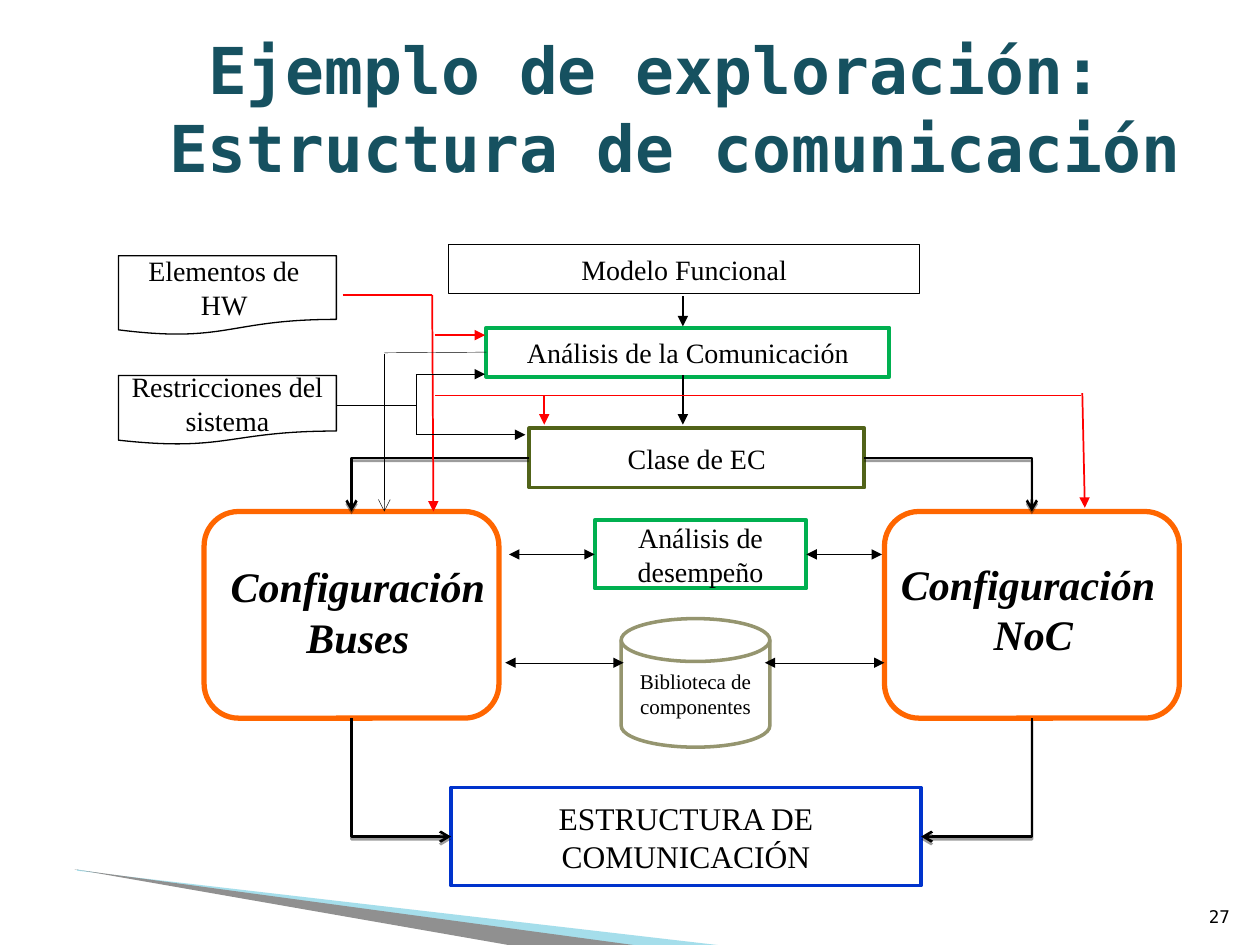
from dataclasses import dataclass

from lxml import etree
from pptx import Presentation
from pptx.dml.color import RGBColor
from pptx.enum.shapes import MSO_CONNECTOR, MSO_SHAPE
from pptx.enum.text import MSO_ANCHOR, PP_ALIGN
from pptx.oxml.ns import qn
from pptx.util import Inches, Pt

RECTANGLE = MSO_SHAPE.RECTANGLE
ROUNDED = MSO_SHAPE.ROUNDED_RECTANGLE
DOCUMENT = MSO_SHAPE.FLOWCHART_DOCUMENT
DISK = MSO_SHAPE.FLOWCHART_MAGNETIC_DISK
STRAIGHT, ELBOW = MSO_CONNECTOR.STRAIGHT, MSO_CONNECTOR.ELBOW
CENTER, RIGHT = PP_ALIGN.CENTER, PP_ALIGN.RIGHT
MIDDLE, TOP, BOTTOM = MSO_ANCHOR.MIDDLE, MSO_ANCHOR.TOP, MSO_ANCHOR.BOTTOM
SIDE_TOP, SIDE_LEFT, SIDE_BOTTOM, SIDE_RIGHT = range(4)


@dataclass(frozen=True)
class Theme:
    mono: str = "DejaVu Sans Mono"
    serif: str = "Times New Roman"
    black: str = "000000"
    title: str = "165160"
    red: str = "FF0000"
    green: str = "00B050"
    olive: str = "516319"
    orange: str = "FF6600"
    blue: str = "0033CC"
    khaki: str = "95956F"
    aqua: str = "1FAECD"
    gray: str = "909090"
    title_size: float = 36.9
    heading_size: float = 24
    result_size: float = 18
    label_size: float = 16
    small_size: float = 12
    number_size: float = 10
    hairline: float = 0.25
    thin: float = 0.75
    signal: float = 1
    flow: float = 1.5


THEME = Theme()


def rgb(value):
    return RGBColor.from_string(value)


def write(shape, text, size, font=THEME.serif, color=THEME.black, bold=False,
          italic=False, align=CENTER, anchor=MIDDLE, wrap=True):
    frame = shape.text_frame
    frame.text = text
    frame.word_wrap = wrap
    frame.vertical_anchor = anchor
    for para in frame.paragraphs:
        para.alignment = align
        for span in para.runs:
            span.font.name = font
            span.font.size = Pt(size)
            span.font.bold = bold
            span.font.italic = italic
            span.font.color.rgb = rgb(color)


def add_box(page, kind, place, color, width, text="", size=THEME.label_size, wrap=True):
    box = page.shapes.add_shape(kind, *map(Inches, place))
    box.shadow.inherit = False
    box.fill.background()
    box.line.color.rgb = rgb(color)
    box.line.width = Pt(width)
    if text:
        write(box, text, size, wrap=wrap)
    return box


def add_label(page, place, text, size, **style):
    label = page.shapes.add_textbox(*map(Inches, place))
    write(label, text, size, **style)


def add_wedge(page, points, color, opacity=None):
    start, *rest = [(Inches(x), Inches(y)) for x, y in points]
    builder = page.shapes.build_freeform(*start)
    builder.add_line_segments(rest, close=True)
    wedge = builder.convert_to_shape()
    wedge.shadow.inherit = False
    wedge.line.fill.background()
    wedge.fill.solid()
    wedge.fill.fore_color.rgb = rgb(color)
    if opacity:
        tint = wedge.fill._xPr.find(".//" + qn("a:srgbClr"))
        etree.SubElement(tint, qn("a:alpha"), val=str(opacity * 1000))


def style_line(link, color, width, head=None, tail=None):
    """Colour a connector, set its arrowheads and return its empty effect list."""
    link.line.color.rgb = rgb(color)
    link.line.width = Pt(width)
    outline = link.line._get_or_add_ln()
    for tag, kind in (("a:headEnd", head), ("a:tailEnd", tail)):
        if kind:
            etree.SubElement(outline, qn(tag), type=kind)
    return etree.SubElement(link._element.spPr, qn("a:effectLst"))


def add_line(page, start, end, color=THEME.black, width=THEME.hairline, head=None, tail=None):
    link = page.shapes.add_connector(STRAIGHT, *map(Inches, (*start, *end)))
    style_line(link, color, width, head, tail)
    return link


def add_elbow(page, source, source_side, target, target_side):
    """Join two boxes with a single-corner arrow that casts a soft shadow."""
    link = page.shapes.add_connector(ELBOW, 0, 0, 0, 0)
    link.begin_connect(source, source_side)
    link.end_connect(target, target_side)
    properties = link._element.spPr
    properties.find(qn("a:prstGeom")).set("prst", "bentConnector2")
    # A corner that leaves vertically is the horizontal one, turned
    if source_side == SIDE_BOTTOM:
        rightward = link.end_x > link.begin_x
        left, top, width, height = link.left, link.top, link.width, link.height
        link.left, link.top = left + (width - height) // 2, top + (height - width) // 2
        link.width, link.height = height, width
        frame = properties.find(qn("a:xfrm"))
        frame.set("rot", str((270 if rightward else 90) * 60000))
        frame.set("flipH", "1" if rightward else "0")
    effects = style_line(link, THEME.black, THEME.flow, tail="arrow")
    shadow = etree.SubElement(effects, qn("a:outerShdw"), dist=str(Pt(1.6)),
                              dir="5400000", rotWithShape="0")
    tint = etree.SubElement(shadow, qn("a:srgbClr"), val=THEME.black)
    etree.SubElement(tint, qn("a:alpha"), val="38000")


def add_frame(page):
    # Corner decoration, slide number and title
    add_wedge(page, [(0.61, 6.91), (5.78, 7.51), (4.45, 7.51), (0.61, 6.9)], THEME.aqua, 40)
    add_wedge(page, [(0.59, 6.9), (5.1, 7.51), (4.15, 7.52), (0.6, 6.9)], THEME.gray)
    add_label(page, (9.46, 7.01, 0.4, 0.4), "27", THEME.number_size, font=THEME.mono,
              align=RIGHT, anchor=BOTTOM)
    title = page.shapes.title
    title.left, title.top, title.width, title.height = map(Inches, (0.86, 0.23, 9, 1.25))
    write(title, "Ejemplo de exploración: \vEstructura de comunicación", THEME.title_size,
          font=THEME.mono, color=THEME.title, bold=True)


def main():
    deck = Presentation()
    deck.slide_width, deck.slide_height = Inches(10), Inches(7.5)
    page = deck.slides.add_slide(deck.slide_layouts[5])
    add_frame(page)

    # Configurations
    buses, noc = [add_box(page, ROUNDED, (left, 4.06, 2.34, 1.64), THEME.orange, 3)
                  for left in (1.62, 7.02)]
    for place, text in (((1.72, 4.4, 2.24, 0.91), "Configuración\nBuses"),
                        ((7.04, 4.38, 2.32, 0.91), "Configuración \nNoC")):
        add_label(page, place, text, THEME.heading_size, bold=True, italic=True,
                  anchor=TOP, wrap=False)

    # Main flow
    add_box(page, RECTANGLE, (3.56, 1.94, 3.74, 0.39), THEME.black, THEME.thin,
            "Modelo Funcional")
    analysis = add_box(page, RECTANGLE, (3.86, 2.6, 3.2, 0.39), THEME.green, 2.25,
                       "Análisis de la Comunicación")
    choice = add_box(page, RECTANGLE, (4.2, 3.4, 2.66, 0.47), THEME.olive, 2.25, "Clase de EC")
    result = add_box(page, RECTANGLE, (3.58, 6.25, 3.73, 0.78), THEME.blue, 2,
                     "ESTRUCTURA DE\nCOMUNICACIÓN", THEME.result_size)
    for top, bottom in ((2.35, 2.59), (2.98, 3.37)):
        add_line(page, (5.42, top), (5.42, bottom), width=THEME.flow, tail="triangle")
    for config, side in ((buses, SIDE_LEFT), (noc, SIDE_RIGHT)):
        add_elbow(page, choice, side, config, SIDE_TOP)
        add_elbow(page, config, SIDE_BOTTOM, result, side)

    # Inputs and shared resources
    for top, height, text in ((2.03, 0.63, "Elementos de \nHW "),
                              (2.98, 0.55, "Restricciones del\nsistema")):
        add_box(page, DOCUMENT, (0.94, top, 1.73, height), THEME.black, THEME.thin,
                text, wrap=False)
    add_box(page, DISK, (4.93, 4.91, 1.18, 1.02), THEME.khaki, 2,
            "Biblioteca de componentes", THEME.small_size)
    performance = add_box(page, RECTANGLE, (4.72, 4.13, 1.68, 0.54), THEME.green, 2.25,
                          "Análisis de desempeño")

    # Hardware signals
    for start, end, tail in (((2.72, 2.34), (3.43, 2.34), None),
                             ((3.43, 2.34), (3.44, 4.06), "triangle"),
                             ((3.45, 2.66), (3.85, 2.66), "triangle"),
                             ((8.58, 3.14), (3.45, 3.14), None),
                             ((4.32, 3.14), (4.32, 3.37), "triangle"),
                             ((8.59, 3.12), (8.61, 4.03), "triangle")):
        add_line(page, start, end, THEME.red, THEME.signal, tail=tail)

    # System constraints and analysis feedback
    for start, end, tail in (((2.67, 3.22), (3.3, 3.22), None),
                             ((3.3, 2.97), (3.3, 3.45), None),
                             ((3.3, 2.97), (3.85, 2.97), "triangle"),
                             ((3.3, 3.45), (4.17, 3.45), "triangle"),
                             ((3.05, 2.81), (3.05, 4.06), "arrow")):
        add_line(page, start, end, tail=tail)
    add_line(page, (3.86, 2.8), (3.05, 2.8)).begin_connect(analysis, SIDE_LEFT)

    # Two-way exchanges
    both = {"head": "triangle", "tail": "triangle"}
    add_line(page, (4.04, 4.4), (4.72, 4.4), **both).end_connect(performance, SIDE_LEFT)
    add_line(page, (6.4, 4.4), (7, 4.4), **both).begin_connect(performance, SIDE_RIGHT)
    for left, right in ((4.01, 4.95), (6.07, 7.02)):
        add_line(page, (left, 5.26), (right, 5.26), **both)

    deck.save("out.pptx")


if __name__ == "__main__":
    main()
